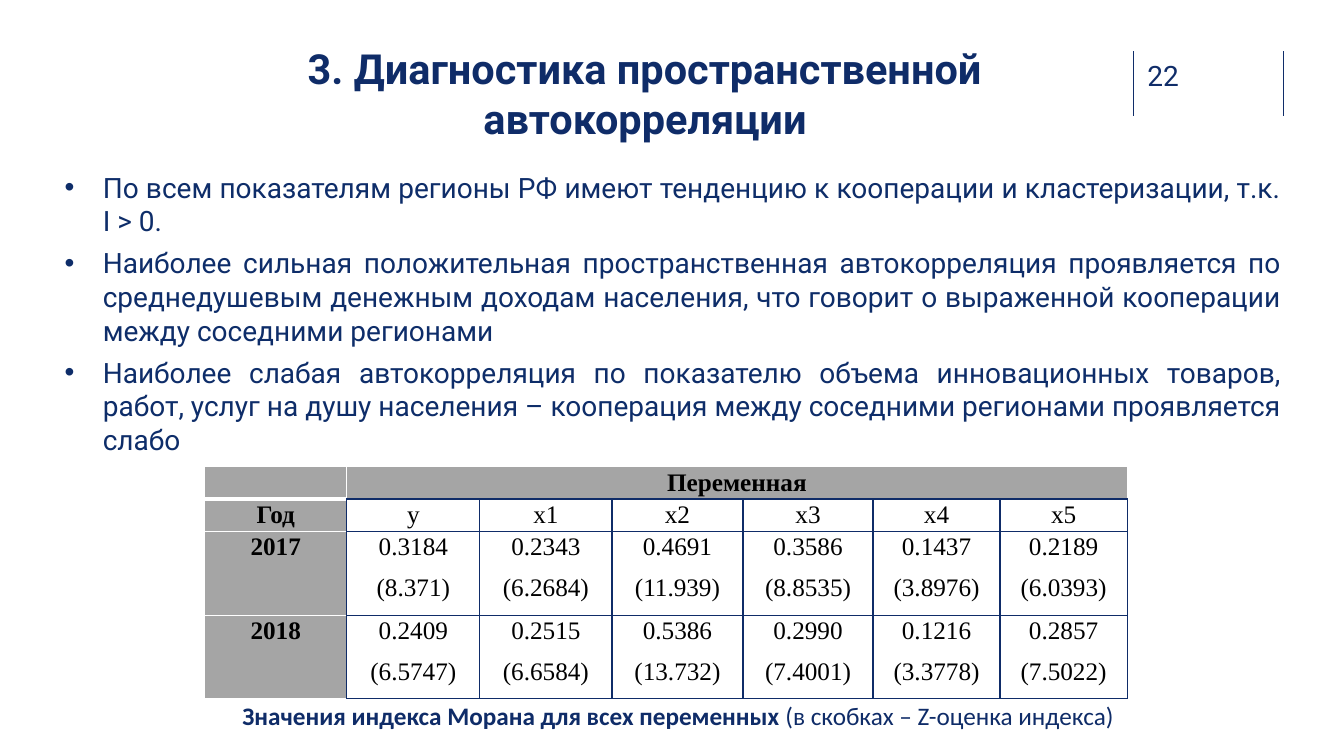
from lxml.etree import SubElement
from pptx import Presentation
from pptx.dml.color import RGBColor
from pptx.enum.shapes import MSO_CONNECTOR, MSO_SHAPE
from pptx.enum.text import MSO_ANCHOR, PP_ALIGN
from pptx.oxml.ns import qn
from pptx.util import Inches, Pt

NAVY, WHITE, GREY = "0F2C68", "FFFFFF", "A5A5A5"
BULLETS = [
    "По всем показателям регионы РФ имеют тенденцию к кооперации и кластеризации, т.к. I > 0.",
    "Наиболее сильная положительная пространственная автокорреляция проявляется по среднедушевым "
    "денежным доходам населения, что говорит о выраженной кооперации между соседними регионами",
    "Наиболее слабая автокорреляция по показателю объема инновационных товаров, работ, услуг "
    "на душу населения – кооперация между соседними регионами проявляется слабо",
]
ROWS = [
    ["", "Переменная"],
    ["Год", "y", "x1", "x2", "x3", "x4", "x5"],
    ["2017", "0.3184\n(8.371)", "0.2343\n(6.2684)", "0.4691\n(11.939)",
     "0.3586\n(8.8535)", "0.1437\n(3.8976)", "0.2189\n(6.0393)"],
    ["2018", "0.2409\n(6.5747)", "0.2515\n(6.6584)", "0.5386\n(13.732)",
     "0.2990\n(7.4001)", "0.1216\n(3.3778)", "0.2857\n(7.5022)"],
]
WIDTHS = [1.41, 1.32, 1.31, 1.3, 1.29, 1.26, 1.26]
HEIGHTS = [0.31, 0.31, 0.83, 0.83]


def color(code):
    return RGBColor.from_string(code)


def apply(item, values):
    for name, value in values.items():
        setattr(item, name, value)


def write(para, text, face, size, tint=NAVY, bold=False):
    run = para.add_run()
    run.text = text
    apply(run.font, {"name": face, "size": Pt(size), "bold": bold})
    run.font.color.rgb = color(tint)


def setup(frame, sides):
    names = ["margin_left", "margin_top", "margin_right", "margin_bottom"]
    apply(frame, dict(zip(names, map(Inches, sides))))
    apply(frame, {"word_wrap": True, "vertical_anchor": MSO_ANCHOR.TOP})
    return frame


def add_box(slide, place, sides=(0, 0, 0, 0)):
    box = slide.shapes.add_textbox(*map(Inches, place))
    return setup(box.text_frame, sides)


def add_title(slide, text):
    place = map(Inches, (1.66, 0.43, 9.48, 0.85))
    shape = slide.shapes.add_shape(MSO_SHAPE.RECTANGLE, *place)
    shape.shadow.inherit = False
    shape.fill.solid()
    shape.fill.fore_color.rgb = color(WHITE)
    shape.line.fill.background()
    para = setup(shape.text_frame, (0, 0, 0, 0)).paragraphs[0]
    para.alignment = PP_ALIGN.CENTER
    write(para, text, "Roboto", 29.6, bold=True)


def add_rule(slide, left):
    ends = map(Inches, (left, 0.51, left, 1.15))
    rule = slide.shapes.add_connector(MSO_CONNECTOR.STRAIGHT, *ends)
    rule.line.color.rgb = color("102D69")
    rule.line.width = Pt(1)
    SubElement(rule._element.spPr, qn("a:effectLst"))


def add_list(slide, items):
    frame = add_box(slide, (0.64, 1.69, 12.07, 2.73), (0, 0, 0, 0.05))
    for num, text in enumerate(items):
        para = frame.add_paragraph() if num else frame.paragraphs[0]
        apply(para, {"alignment": PP_ALIGN.JUSTIFY, "space_before": Pt(6)})
        props = para._p.get_or_add_pPr()
        props.set("marL", str(Inches(0.38)))
        props.set("indent", str(-Inches(0.38)))
        SubElement(props, qn("a:buFont"), typeface="Arial")
        SubElement(props, qn("a:buChar"), char="•")
        write(para, text, "Roboto", 20, "0E2D69")


def edge(cell, side, tint, width=1):
    props = cell._tc.get_or_add_tcPr()
    line = SubElement(props, qn("a:ln" + side), w=str(Pt(width)))
    fill = SubElement(line, qn("a:solidFill"))
    SubElement(fill, qn("a:srgbClr"), val=tint)


def style(cell, row, col):
    head = row == 0 or col == 0
    tints = dict.fromkeys("LRTB", WHITE if head else NAVY)
    if col == 0 and row:
        tints["R"] = NAVY
    if row == 0 and col:
        tints["B"] = NAVY
    for side, tint in tints.items():
        edge(cell, side, tint, 3 if side == "B" and row == col == 0 else 1)
    if head:
        cell.fill.solid()
        cell.fill.fore_color.rgb = color(GREY)
    else:
        cell.fill.background()
    apply(cell, {"margin_left": Inches(0.07), "margin_right": Inches(0.07),
                 "margin_top": 0, "margin_bottom": 0})
    return head


def fill_cell(cell, text, bold):
    frame = cell.text_frame
    for num, part in enumerate(text.split("\n")):
        para = frame.add_paragraph() if num else frame.paragraphs[0]
        apply(para, {"alignment": PP_ALIGN.CENTER, "line_spacing": 1.07,
                     "space_after": Pt(8)})
        write(para, part, "Times New Roman", 18, "000000", bold)


def add_grid(slide):
    place = map(Inches, (2.03, 4.63, sum(WIDTHS), sum(HEIGHTS)))
    table = slide.shapes.add_table(len(ROWS), len(WIDTHS), *place).table
    for col, width in zip(table.columns, WIDTHS):
        col.width = Inches(width)
    for row, height in zip(table.rows, HEIGHTS):
        row.height = Inches(height)
    table.cell(0, 1).merge(table.cell(0, len(WIDTHS) - 1))
    for row, texts in enumerate(ROWS):
        for col in range(len(WIDTHS)):
            cell = table.cell(row, col)
            head = style(cell, row, col)
            if col < len(texts):
                fill_cell(cell, texts[col], head)


def main():
    deck = Presentation()
    apply(deck, {"slide_width": Inches(13.33), "slide_height": Inches(7.5)})
    slide = deck.slides.add_slide(deck.slide_layouts[6])
    for left in (11.24, 12.73):
        add_rule(slide, left)
    page = add_box(slide, (11.38, 0.58, 0.73, 0.34))
    write(page.paragraphs[0], "22", "Roboto", 20, "102D69")
    add_title(slide, "3. Диагностика пространственной автокорреляции")
    add_grid(slide)
    note = add_box(slide, (1.6, 6.9, 10.25, 0.4), (0.1, 0.05, 0.1, 0.05)).paragraphs[0]
    note.alignment = PP_ALIGN.CENTER
    write(note, "Значения индекса Морана для всех переменных ", "Calibri", 18, bold=True)
    write(note, "(в скобках – Z-оценка индекса)", "Calibri", 18)
    add_list(slide, BULLETS)
    deck.save("out.pptx")


if __name__ == "__main__":
    main()
